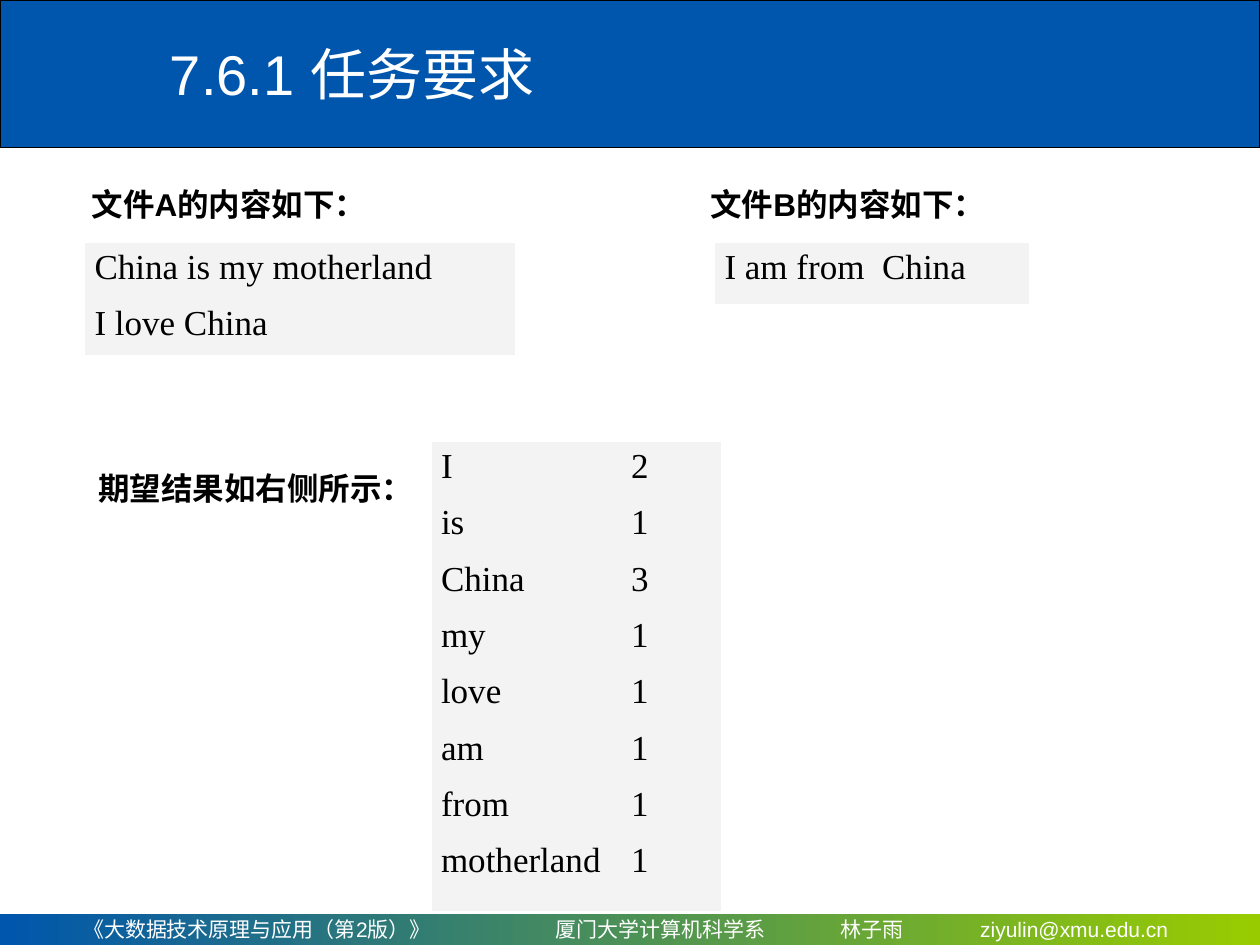
from lxml import etree
from pptx import Presentation
from pptx.dml.color import RGBColor
from pptx.enum.shapes import MSO_SHAPE
from pptx.enum.text import MSO_ANCHOR, PP_ALIGN
from pptx.oxml.ns import qn
from pptx.util import Inches, Pt

RECTANGLE = MSO_SHAPE.RECTANGLE
MIDDLE = MSO_ANCHOR.MIDDLE
JUSTIFY = PP_ALIGN.JUSTIFY
LEFT = PP_ALIGN.LEFT

COLORS = {
    "blue": "0056AC",
    "green": "99CC00",
    "white": "FFFFFF",
    "black": "000000",
    "cell": "F3F3F3",
}
COLORS = {name: RGBColor.from_string(value) for name, value in COLORS.items()}


def add_run(paragraph, text, size, color, font="Arial", bold=False):
    run = paragraph.add_run()
    run.text = text
    run.font.size = Pt(size)
    run.font.name = font
    run.font.bold = bold
    run.font.color.rgb = COLORS[color]


def add_tab_stops(paragraph, stops):
    """Add left tab stops, given in inches from the text edge."""
    tab_list = etree.SubElement(paragraph._p.get_or_add_pPr(), qn("a:tabLst"))
    for stop in stops:
        etree.SubElement(tab_list, qn("a:tab"), pos=str(Inches(stop)), algn="l")


presentation = Presentation()
presentation.slide_width = Inches(10)
presentation.slide_height = Inches(7.5)
slide = presentation.slides.add_slide(presentation.slide_layouts[6])

# Header band and title
header = slide.shapes.add_shape(RECTANGLE, 0, 0, Inches(10), Inches(1.17))
header.shadow.inherit = False
header.fill.solid()
header.fill.fore_color.rgb = COLORS["blue"]
header.line.color.rgb = COLORS["black"]
header.line.width = Pt(0.75)

title = slide.shapes.add_textbox(Inches(1.25), Inches(0.08), Inches(8.75), Inches(1))
title.text_frame.word_wrap = True
title.text_frame.vertical_anchor = MIDDLE
add_run(title.text_frame.paragraphs[0], "7.6.1 任务要求", 32, "white")

# Footer band
footer = slide.shapes.add_shape(RECTANGLE, 0, Inches(7.25), Inches(10), Inches(0.25))
footer.shadow.inherit = False
footer.line.fill.background()
footer.fill.gradient()
footer.fill.gradient_angle = 0
for stop, color in zip(footer.fill.gradient_stops, ("blue", "green")):
    stop.color.rgb = COLORS[color]
footer.text_frame.word_wrap = True
footer.text_frame.vertical_anchor = MIDDLE
footer.text_frame.margin_left = Inches(0.66)
paragraph = footer.text_frame.paragraphs[0]
paragraph.alignment = LEFT
add_tab_stops(paragraph, (3.75, 6.01, 7.12))
footer_parts = ("《大数据技术原理与应用（第2版）》", "厦门大学计算机科学系", "林子雨", "ziyulin@xmu.edu.cn")
add_run(paragraph, "\t".join(footer_parts), 12, "white")

# Labels
labels = [
    ("文件A的内容如下：", 0.63, 1.42, 2.5),
    ("文件B的内容如下：", 5.54, 1.42, 2.5),
    ("期望结果如右侧所示：", 0.68, 3.67, 2.7),
]
for text, left, top, width in labels:
    label = slide.shapes.add_textbox(Inches(left), Inches(top), Inches(width), Inches(0.4))
    label.text_frame.word_wrap = False
    add_run(label.text_frame.paragraphs[0], text, 18, "black", bold=True)

# File contents and word counts, each in a one-cell table
word_counts = {"I": 2, "is": 1, "China": 3, "my": 1, "love": 1, "am": 1, "from": 1, "motherland": 1}
count_lines = [f"{word}\t{count}" for word, count in word_counts.items()]
tables = [
    (["China is my motherland", "I love China"], 0.67, 1.92, 3.42, 0.86),
    (["I am from  China"], 5.67, 1.92, 2.5, 0.5),
    (count_lines, 3.42, 3.5, 2.31, 3.64),
]
for lines, left, top, width, height in tables:
    table = slide.shapes.add_table(
        1, 1, Inches(left), Inches(top), Inches(width), Inches(height)
    ).table
    table.first_row = False
    table.horz_banding = False
    cell = table.cell(0, 0)
    cell.fill.solid()
    cell.fill.fore_color.rgb = COLORS["cell"]
    cell.margin_left = cell.margin_right = Inches(0.08)
    for index, line in enumerate(lines):
        if index == 0:
            paragraph = cell.text_frame.paragraphs[0]
        else:
            paragraph = cell.text_frame.add_paragraph()
            paragraph.space_before = Pt(5)
        paragraph.space_after = Pt(5)
        paragraph.alignment = JUSTIFY
        if "\t" in line:
            add_tab_stops(paragraph, [1.51])
        add_run(paragraph, line, 20, "black", font="Times New Roman")

presentation.save("out.pptx")
